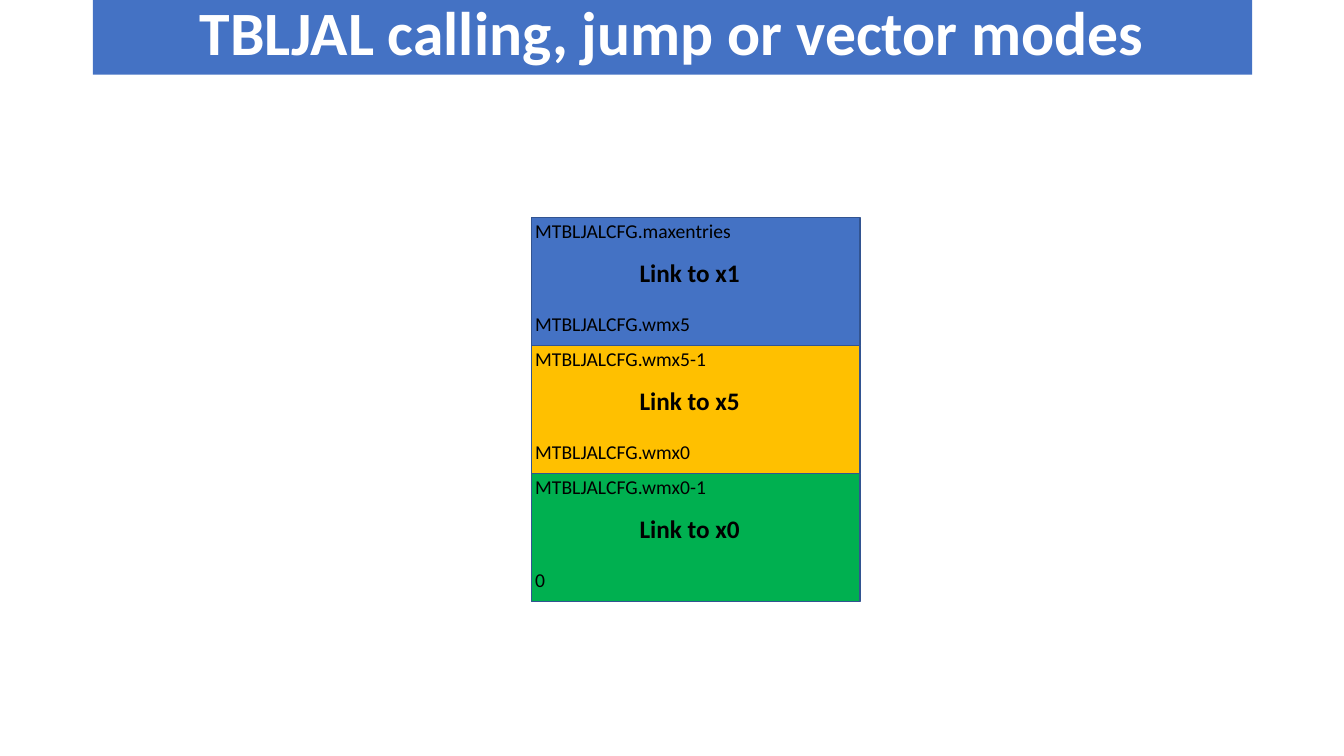
"""Build the slide on TBLJAL calling, jump or vector modes."""
import pptx
import pptx.util
import pptx.dml.color
import pptx.enum.shapes
import pptx.enum.text

Inches, Pt = pptx.util.Inches, pptx.util.Pt
ALIGN = pptx.enum.text.PP_ALIGN
ANCHOR = pptx.enum.text.MSO_ANCHOR
COLORS = {"blue": "4472C4", "amber": "FFC000", "green": "00B050",
          "border": "325491", "black": "000000", "white": "FFFFFF"}
TITLE = "TBLJAL calling, jump or vector modes"
BANDS = [
    ("blue", "MTBLJALCFG.maxentries", "Link to x1", "MTBLJALCFG.wmx5"),
    ("amber", "MTBLJALCFG.wmx5-1", "Link to x5", "MTBLJALCFG.wmx0"),
    ("green", "MTBLJALCFG.wmx0-1", "Link to x0", "0"),
]
BAND_LEFT, BAND_TOP, BAND_WIDTH, BAND_HEIGHT = 5.27, 2.16, 3.26, 1.27
RANGE_GAP = 50


def color(name):
    return pptx.dml.color.RGBColor.from_string(COLORS[name])


def apply(target, values):
    for name, value in values.items():
        setattr(target, name, value)


def paint(shape, fill):
    shape.fill.solid()
    shape.fill.fore_color.rgb = color(fill)


def write(shape, lines, font, layout, anchor=ANCHOR.TOP):
    frame = shape.text_frame
    apply(frame, {"word_wrap": True, "vertical_anchor": anchor,
                  "auto_size": pptx.enum.text.MSO_AUTO_SIZE.NONE})
    frame.text = "\n".join(lines)
    for para in frame.paragraphs:
        apply(para, layout)
        for span in para.runs:
            apply(span.font, {"name": "Calibri", "size": Pt(font["size"]),
                              "bold": font["bold"]})
            span.font.color.rgb = color(font["color"])
    return frame


def add_text(slide, place, lines, font, layout):
    box = slide.shapes.add_textbox(*map(Inches, place))
    return write(box, lines, font, layout)


def add_band(slide, top, fill, upper, link, lower):
    band = slide.shapes.add_shape(
        pptx.enum.shapes.MSO_SHAPE.RECTANGLE,
        *map(Inches, (BAND_LEFT, top, BAND_WIDTH, BAND_HEIGHT)))
    band.shadow.inherit = False
    paint(band, fill)
    band.line.color.rgb = color("border")
    band.line.width = Pt(1)
    limits = add_text(slide, (BAND_LEFT - 0.06, top - 0.04, 2.28, 1.28),
                      (upper, lower),
                      {"size": 14, "bold": False, "color": "black"},
                      {"alignment": ALIGN.LEFT})
    limits.paragraphs[1].space_before = Pt(RANGE_GAP)
    add_text(slide, (5.9, top + 0.34, 1.88, 0.4), (link,),
             {"size": 18, "bold": True, "color": "black"},
             {"alignment": ALIGN.CENTER})


deck = pptx.Presentation()
apply(deck, {"slide_width": Inches(13.33), "slide_height": Inches(7.5)})
slide = deck.slides.add_slide(deck.slide_layouts[5])
title = slide.shapes.title
apply(title, {"left": Inches(0.92), "top": Inches(-0.03),
              "width": Inches(11.5), "height": Inches(0.77)})
paint(title, "blue")
write(title, (TITLE,), {"size": 44, "bold": True, "color": "white"},
      {"alignment": ALIGN.CENTER, "line_spacing": 0.9}, ANCHOR.MIDDLE)
for index, band in enumerate(BANDS):
    add_band(slide, BAND_TOP + index * BAND_HEIGHT, *band)
deck.save("out.pptx")
